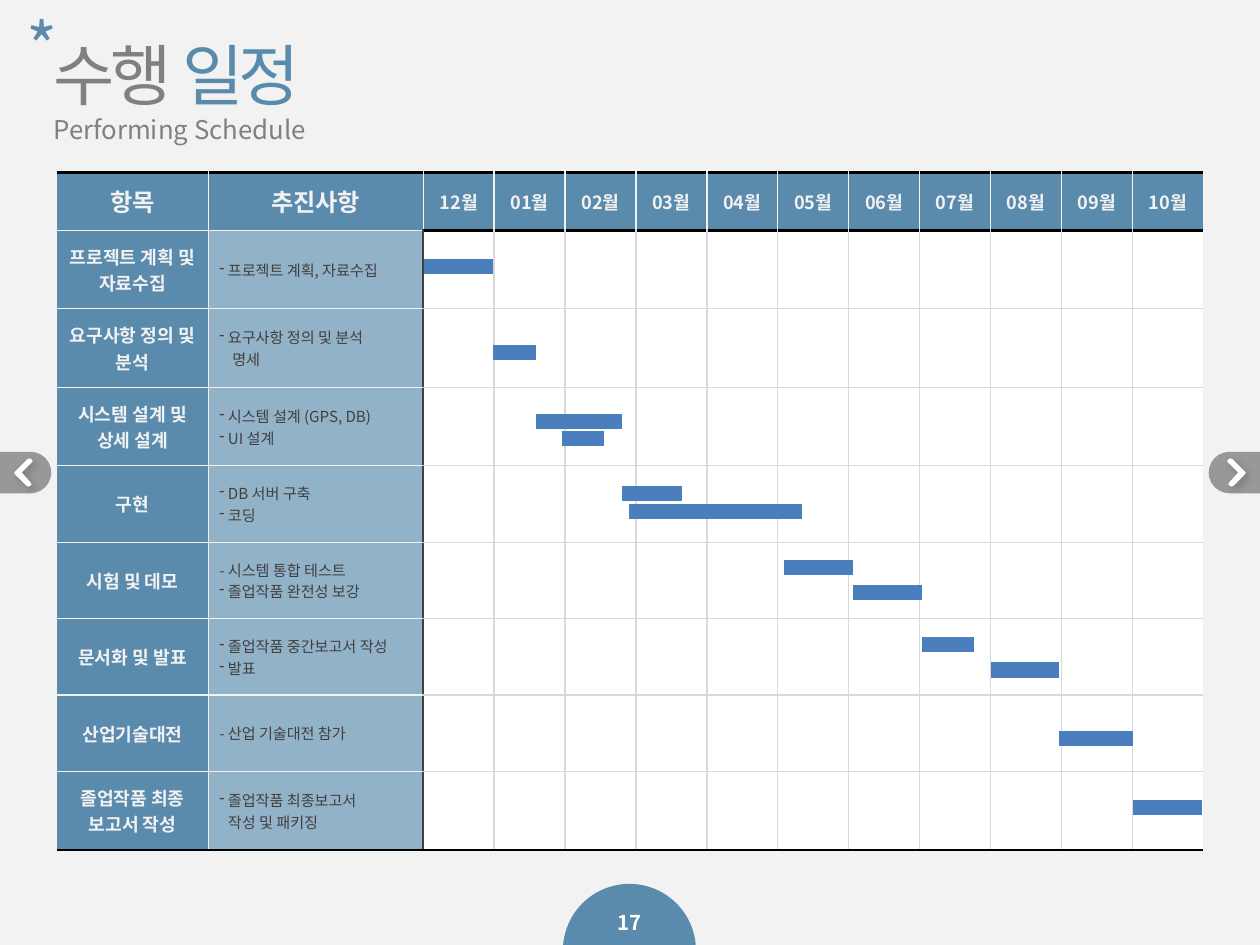
from lxml import etree
from pptx import Presentation
from pptx.dml.color import RGBColor
from pptx.enum.shapes import MSO_CONNECTOR, MSO_SHAPE
from pptx.enum.text import MSO_ANCHOR, MSO_AUTO_SIZE, PP_ALIGN
from pptx.oxml.ns import qn
from pptx.util import Inches, Pt

LEFT, CENTER = PP_ALIGN.LEFT, PP_ALIGN.CENTER
MIDDLE, NO_AUTOFIT = MSO_ANCHOR.MIDDLE, MSO_AUTO_SIZE.NONE
STRAIGHT = MSO_CONNECTOR.STRAIGHT
CHORD, ROUND_TOP = MSO_SHAPE.CHORD, MSO_SHAPE.ROUND_2_SAME_RECTANGLE

FONT = "Noto Sans CJK KR"
WHITE = RGBColor(0xFF, 0xFF, 0xFF)
BLACK = RGBColor(0, 0, 0)
PAPER = RGBColor(0xF2, 0xF2, 0xF2)
GRID = RGBColor(0xD9, 0xD9, 0xD9)
GRAY = RGBColor(0x80, 0x80, 0x80)
DARK = RGBColor(0x40, 0x40, 0x40)
STEEL = RGBColor(0x5A, 0x8B, 0xAC)
PALE_STEEL = RGBColor(0x92, 0xB2, 0xC8)
BAR_BLUE = RGBColor(0x4B, 0x7E, 0xBC)

SLIDE_W, SLIDE_H = 11.55, 8.66
COLUMN_WIDTHS = [1.39, 1.97] + [0.65] * 11
ROW_HEIGHTS = [0.53] + [0.72] * 3 + [0.7] * 4 + [0.72]
MONTHS = [12, *range(1, 11)]

# Each detail line: text, left margin, dash bullet or not
TASKS = [
    (["프로젝트 계획 및 자료수집"], [("프로젝트 계획, 자료수집", 0.08, True)]),
    (["요구사항 정의 및 분석"],
     [("요구사항 정의 및 분석", 0.08, True), ("명세", 0.12, False)]),
    (["시스템 설계 및 상세 설계"],
     [("시스템 설계 (GPS, DB)", 0.08, True), ("UI 설계", 0.08, True)]),
    (["구현"], [("DB 서버 구축", 0.08, True), ("코딩", 0.08, True)]),
    (["시험 및 데모"],
     [("- 시스템 통합 테스트", 0, False), ("졸업작품 완전성 보강", 0.08, True)]),
    (["문서화 및 발표"],
     [("졸업작품 중간보고서 작성", 0.08, True), ("발표", 0.08, True)]),
    (["산업기술대전"], [("- 산업 기술대전 참가", 0, False)]),
    (["졸업작품 최종", "보고서 작성"],
     [("졸업작품 최종보고서", 0.08, True), ("작성 및 패키징", 0.08, False)]),
]

# Start, end and height of each bar, from the table's top-left corner
BARS = [
    (3.37, 4.0, 0.86), (4.0, 4.39, 1.65), (4.39, 5.18, 2.28), (4.63, 5.02, 2.44),
    (5.18, 5.73, 2.94), (5.25, 6.83, 3.11), (6.67, 7.3, 3.62), (7.3, 7.93, 3.85),
    (7.93, 8.41, 4.33), (8.56, 9.19, 4.56), (9.19, 9.87, 5.19), (9.87, 10.5, 5.82),
]

# Left-pointing chevron, from the slide edge and the tab's centre line
CHEVRON = [
    (0.27, -0.13), (0.29, -0.12), (0.3, -0.1), (0.2, 0), (0.28, 0.09), (0.29, 0.11),
    (0.28, 0.12), (0.26, 0.13), (0.24, 0.12), (0.14, 0.02), (0.13, 0), (0.14, -0.01),
    (0.25, -0.12),
]


def add_run(paragraph, text, size, color, bold=False, spacing=0, align=LEFT):
    paragraph.alignment = align
    run = paragraph.add_run()
    run.text = text
    run.font.size, run.font.bold = Pt(size), bold
    run.font.name, run.font.color.rgb = FONT, color
    properties = run.font._element
    etree.SubElement(properties, qn("a:ea"), typeface=FONT)
    if spacing:
        properties.set("spc", str(spacing))


def clear_frame(shape):
    frame = shape.text_frame
    frame.auto_size, frame.word_wrap = NO_AUTOFIT, True
    frame.vertical_anchor = MIDDLE
    frame.margin_left = frame.margin_right = frame.margin_top = frame.margin_bottom = 0
    return frame.paragraphs[0]


def add_label(slide, box, text, **style):
    label = slide.shapes.add_textbox(*map(Inches, box))
    add_run(clear_frame(label), text, **style)


def paint(shape, color):
    shape.shadow.inherit = False
    shape.fill.solid()
    shape.fill.fore_color.rgb = color
    shape.line.fill.background()


def add_color(parent, color, alpha=None):
    node = etree.SubElement(parent, qn("a:srgbClr"), val=str(color))
    if alpha:
        etree.SubElement(node, qn("a:alpha"), val=str(alpha * 1000))


def add_heading(slide, left, top):
    title = slide.shapes.title
    title.left, title.top = Inches(left), Inches(top)
    title.width, title.height = Inches(7.2), Inches(0.6)
    line = clear_frame(title)
    line.space_before = 0
    add_run(line, "수행 ", size=44, color=GRAY, spacing=-300)
    add_run(line, "일정", size=44, color=STEEL, spacing=-300)
    add_label(slide, (left, top + 0.67, 7.2, 0.27), "Performing Schedule",
              size=17, color=GRAY)
    add_label(slide, (left - 0.25, top - 0.22, 0.4, 0.52), "*", size=44, color=STEEL)


def add_page_number(slide, left, top, size):
    dome = slide.shapes.add_shape(CHORD, *map(Inches, (left, top, size, size)))
    dome.adjustments[0], dome.adjustments[1] = 110.57, 213.41
    paint(dome, STEEL)
    add_label(slide, (left + 0.33, top + 0.25, 0.56, 0.2), "17",
              size=13.5, color=WHITE, bold=True, align=CENTER)


def add_nav_tab(slide, edge, middle, direction):
    """Tab on a slide edge; direction is 1 when it extends to the right."""
    width, height = 0.38, 0.47
    center = edge + direction * height / 2
    tab = slide.shapes.add_shape(ROUND_TOP, *map(Inches, (
        center - width / 2, middle - height / 2, width, height)))
    tab.adjustments[0], tab.adjustments[1] = 0.5, 0
    tab.rotation = 90 * direction
    paint(tab, DARK)
    etree.SubElement(tab.fill._xPr.find(".//" + qn("a:srgbClr")),
                     qn("a:alpha"), val="50000")

    points = [(Inches(edge + direction * x), Inches(middle + y)) for x, y in CHEVRON]
    outline = slide.shapes.build_freeform(*points[0])
    outline.add_line_segments(points[1:])
    arrow = outline.convert_to_shape()
    paint(arrow, WHITE)
    shadow = etree.SubElement(
        arrow._element.spPr.find(qn("a:effectLst")), qn("a:outerShdw"),
        blurRad=str(Pt(5)), dist=str(Pt(3)), dir="2700000")
    add_color(shadow, BLACK, alpha=20)


def horizontal_rule(edge, column):
    if edge in (0, len(ROW_HEIGHTS)) or (edge == 1 and column > 1):
        return BLACK, 2
    return (PAPER if column < 2 else GRID), 1


def vertical_rule(edge, row):
    if edge in (0, len(COLUMN_WIDTHS)):
        return None, 0
    if row == 0 or edge == 1:
        return PAPER, 1
    return (DARK, 1.5) if edge == 2 else (GRID, 1)


def style_cell(cell, row, column):
    rules = {"a:lnL": vertical_rule(column, row),
             "a:lnR": vertical_rule(column + 1, row),
             "a:lnT": horizontal_rule(row, column),
             "a:lnB": horizontal_rule(row + 1, column)}
    for tag, (color, width) in rules.items():
        border = etree.SubElement(cell._tc.get_or_add_tcPr(), qn(tag), w=str(Pt(width)))
        if color is None:
            etree.SubElement(border, qn("a:noFill"))
        else:
            add_color(etree.SubElement(border, qn("a:solidFill")), color)
    cell.fill.solid()
    cell.fill.fore_color.rgb = (STEEL if row == 0 or column == 0
                                else PALE_STEEL if column == 1 else WHITE)
    cell.vertical_anchor = MIDDLE


def write_cell(cell, lines, **style):
    frame = cell.text_frame
    for index, (text, margin, dash) in enumerate(lines):
        paragraph = frame.add_paragraph() if index else frame.paragraphs[0]
        properties = paragraph._p.get_or_add_pPr()
        properties.set("marL", str(Inches(margin)))
        properties.set("indent", str(Inches(-margin if dash else 0)))
        if dash:
            etree.SubElement(properties, qn("a:buChar"), char="-")
        add_run(paragraph, text, **style)


def add_schedule(slide, left, top):
    table = slide.shapes.add_table(
        len(ROW_HEIGHTS), len(COLUMN_WIDTHS), Inches(left), Inches(top),
        Inches(sum(COLUMN_WIDTHS)), Inches(sum(ROW_HEIGHTS))).table
    table.first_row = table.horz_banding = False
    for column, width in enumerate(COLUMN_WIDTHS):
        table.columns[column].width = Inches(width)
    for row, height in enumerate(ROW_HEIGHTS):
        table.rows[row].height = Inches(height)
        for column in range(len(COLUMN_WIDTHS)):
            style_cell(table.cell(row, column), row, column)

    # Header row and task rows
    strong = {"color": PAPER, "bold": True, "align": CENTER}
    headers = ["항목", "추진사항"] + [f"{month:02}월" for month in MONTHS]
    for column, header in enumerate(headers):
        write_cell(table.cell(0, column), [(header, 0, False)],
                   size=16 if column < 2 else 12, **strong)
    for row, (task, details) in enumerate(TASKS, start=1):
        write_cell(table.cell(row, 0), [(line, 0, False) for line in task],
                   size=12, **strong)
        write_cell(table.cell(row, 1), details, size=10, color=DARK)

    # Gantt bars
    for start, end, height in BARS:
        bar = slide.shapes.add_connector(STRAIGHT, *map(Inches, (
            left + start, top + height, left + end, top + height)))
        bar.line.color.rgb, bar.line.width = BAR_BLUE, Pt(10)
        etree.SubElement(bar._element.spPr, qn("a:effectLst"))


def main():
    deck = Presentation()
    deck.slide_width, deck.slide_height = Inches(SLIDE_W), Inches(SLIDE_H)
    slide = deck.slides.add_slide(deck.slide_layouts[5])
    slide.background.fill.solid()
    slide.background.fill.fore_color.rgb = PAPER
    add_page_number(slide, 5.16, 8.1, 1.22)
    add_heading(slide, 0.49, 0.38)
    add_nav_tab(slide, 0, 4.33, 1)
    add_nav_tab(slide, SLIDE_W, 4.33, -1)
    add_schedule(slide, 0.52, 1.58)
    deck.save("out.pptx")


if __name__ == "__main__":
    main()
